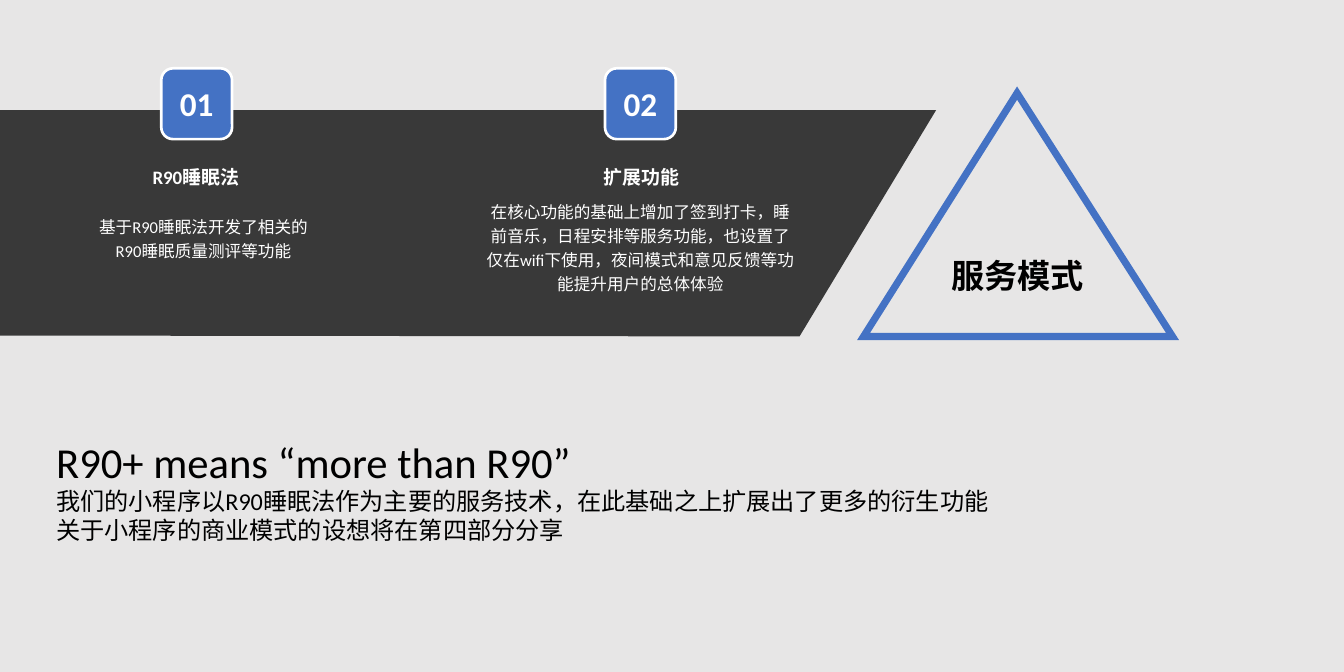
from lxml.etree import SubElement
from pptx import Presentation
from pptx.dml.color import RGBColor
from pptx.enum.shapes import MSO_SHAPE as Shape
from pptx.enum.text import MSO_ANCHOR as Anchor, MSO_AUTO_SIZE as Fit, PP_ALIGN as Align
from pptx.oxml.ns import qn
from pptx.util import Pt

PX = 9144
BLUE, WHITE, BLACK = "4472C4", "FFFFFF", "000000"


def color(code):
    return RGBColor.from_string(code)


def write(shape, lines, tint, bold=False, align=Align.CENTER, anchor=Anchor.TOP, space=None):
    frame = shape.text_frame
    frame.word_wrap = True
    frame.vertical_anchor = anchor
    for i, (text, size) in enumerate(lines):
        para = frame.add_paragraph() if i else frame.paragraphs[0]
        para.text = text
        para.alignment = align
        para.line_spacing = space
        para.font.name = "Calibri"
        para.font.size = Pt(size)
        para.font.bold = bold
        para.font.color.rgb = color(tint)


deck = Presentation()
deck.slide_width, deck.slide_height = 1575 * PX, 787 * PX
slide = deck.slides.add_slide(deck.slide_layouts[6])
slide.background.fill.solid()
slide.background.fill.fore_color.rgb = color("E7E6E6")
shapes = slide.shapes

pen = shapes.build_freeform(0, 129, scale=PX)
pen.add_line_segments([(1097, 129), (937, 394), (0, 393)], close=True)
band = pen.convert_to_shape()
band.shadow.inherit = False
band.fill.solid()
band.fill.fore_color.rgb = color(BLACK)
shade = band.fill._xPr.find(qn("a:solidFill"))[0]
SubElement(shade, qn("a:alpha"), val="75000")
band.line.fill.background()

peak = shapes.add_shape(Shape.ISOSCELES_TRIANGLE, 1012 * PX, 109 * PX, 362 * PX, 285 * PX)
peak.adjustments[0] = 0.497
peak.shadow.inherit = False
peak.fill.background()
peak.line.color.rgb = color(BLUE)
peak.line.width = Pt(6)
SubElement(peak.line._get_or_add_ln(), qn("a:miter"), lim="800000")
write(peak, [("服务模式", 28)], BLACK, bold=True, anchor=Anchor.MIDDLE)

items = [
    ("01", 189, "R90睡眠法", (96, 188), "基于R90睡眠法开发了相关的R90睡眠质量测评等功能", (105, 244, 267)),
    ("02", 709, "扩展功能", (618, 189),
     "在核心功能的基础上增加了签到打卡，睡前音乐，日程安排等服务功能，"
     "也设置了仅在wifi下使用，夜间模式和意见反馈等功能提升用户的总体体验", (560, 227, 381)),
]
for num, left, title, (tx, ty), body, (bx, by, wide) in items:
    text = shapes.add_textbox(bx * PX, by * PX, wide * PX, 83 * PX)
    write(text, [(body, 14)], WHITE, space=1.2)
    head = shapes.add_textbox(tx * PX, ty * PX, 267 * PX, 37 * PX)
    write(head, [(title, 16)], WHITE, bold=True, anchor=Anchor.BOTTOM)
    badge = shapes.add_shape(Shape.ROUNDED_RECTANGLE, left * PX, 80 * PX, 83 * PX, 83 * PX)
    badge.shadow.inherit = False
    badge.fill.solid()
    badge.fill.fore_color.rgb = color(BLUE)
    badge.line.color.rgb = color(WHITE)
    badge.line.width = Pt(2.25)
    write(badge, [(num, 28)], WHITE, bold=True, anchor=Anchor.MIDDLE)

note = shapes.add_textbox(56 * PX, 505 * PX, 1423 * PX, 139 * PX)
write(note, [
    ("R90+ means “more than R90”", 36),
    ("我们的小程序以R90睡眠法作为主要的服务技术，在此基础之上扩展出了更多的衍生功能", 20.4),
    ("关于小程序的商业模式的设想将在第四部分分享", 20.4),
], BLACK, align=Align.LEFT)
note.text_frame.auto_size = Fit.SHAPE_TO_FIT_TEXT

deck.save("out.pptx")
